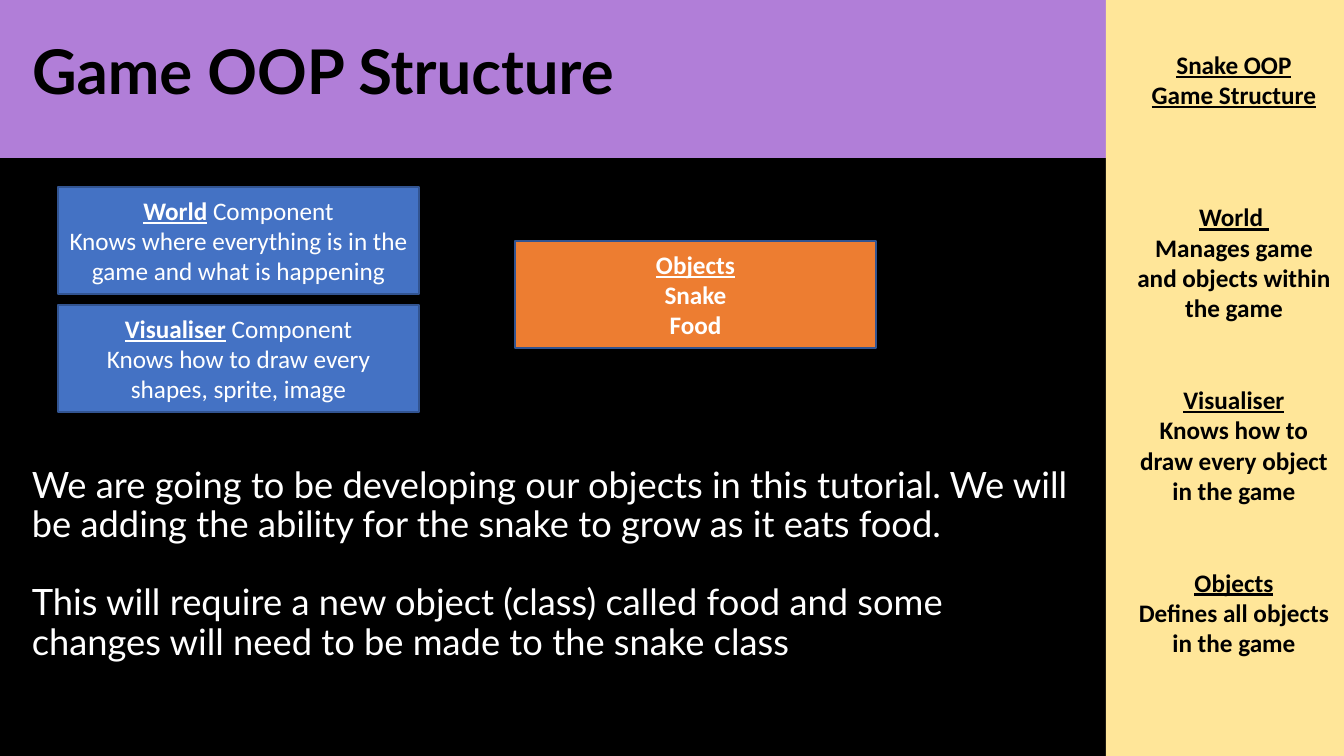
from dataclasses import dataclass

from pptx import Presentation
from pptx.dml.color import RGBColor
from pptx.enum.shapes import MSO_SHAPE
from pptx.enum.text import MSO_ANCHOR, PP_ALIGN
from pptx.util import Emu, Pt

EMU_PER_PX = 914400 / 100.8


def px(n):
    """Turn pixels into EMU."""
    return Emu(round(n * EMU_PER_PX))


@dataclass(frozen=True)
class Theme:
    """Colours, fonts and type sizes of the slide."""
    background: str = "000000"
    banner: str = "B17ED8"
    sidebar: str = "FFE699"
    component: str = "4472C4"
    objects: str = "ED7D31"
    outline: str = "325491"
    dark: str = "000000"
    light: str = "FFFFFF"
    heading_font: str = "Lato"
    label_font: str = "Calibri"
    title_size: float = 44
    body_size: float = 25.9
    label_size: float = 18


class SlideBuilder:
    """Holds the theme and the current slide."""

    def __init__(self, prs, theme):
        """Add a title-only slide with a plain background."""
        self.theme = theme
        self.slide = prs.slides.add_slide(prs.slide_layouts[5])
        fill = self.slide.background.fill
        fill.solid()
        fill.fore_color.rgb = RGBColor.from_string(theme.background)

    def style(self, r, font, size, color, bold=False, underline=False):
        """Format one run."""
        f = r.font
        f.name, f.size, f.bold, f.underline = font, Pt(size), bold, underline
        f.color.rgb = RGBColor.from_string(color)

    def label_lines(self, tf, lines, color):
        """Write centred lines; each is (space before, [(text, bold, underline)])."""
        for i, (gap, runs) in enumerate(lines):
            p = tf.add_paragraph() if i else tf.paragraphs[0]
            p.alignment = PP_ALIGN.CENTER
            p.space_before = Pt(gap)
            for text, bold, underline in runs:
                r = p.add_run()
                r.text = text
                self.style(r, self.theme.label_font, self.theme.label_size,
                           color, bold, underline)

    def rect(self, box, color, outline=None):
        """Draw a flat rectangle."""
        sp = self.slide.shapes.add_shape(MSO_SHAPE.RECTANGLE, *map(px, box))
        sp.shadow.inherit = False
        sp.fill.solid()
        sp.fill.fore_color.rgb = RGBColor.from_string(color)
        if outline:
            sp.line.color.rgb = RGBColor.from_string(outline)
            sp.line.width = Pt(1)
        else:
            sp.line.fill.background()
        return sp

    def card(self, box, color, lines):
        """Draw an outlined rectangle with centred lines."""
        tf = self.rect(box, color, self.theme.outline).text_frame
        tf.word_wrap = True
        tf.vertical_anchor = MSO_ANCHOR.MIDDLE
        self.label_lines(tf, [(0, runs) for runs in lines], self.theme.light)

    def text_box(self, box):
        """Add a wrapping text box and return its frame."""
        tf = self.slide.shapes.add_textbox(*map(px, box)).text_frame
        tf.word_wrap = True
        return tf

    def title(self, box, text):
        """Place the title in front of the banner."""
        sp = self.slide.shapes.title
        self.slide.shapes._spTree.append(sp._element)
        sp.left, sp.top, sp.width, sp.height = map(px, box)
        tf = sp.text_frame
        tf.vertical_anchor = MSO_ANCHOR.MIDDLE
        tf.text = text
        p = tf.paragraphs[0]
        p.alignment, p.line_spacing = PP_ALIGN.LEFT, 0.9
        self.style(p.runs[0], self.theme.heading_font, self.theme.title_size,
                   self.theme.dark, bold=True)

    def body(self, box, paragraphs, gap):
        """Write the main text with a gap between paragraphs."""
        tf = self.text_box(box)
        for i, text in enumerate(paragraphs):
            p = tf.add_paragraph() if i else tf.paragraphs[0]
            p.text = text
            p.line_spacing = 0.9
            p.space_before = Pt(gap if i else 0)
            self.style(p.runs[0], self.theme.heading_font,
                       self.theme.body_size, self.theme.light)

    def summary(self, box, heading, entries, first_gap, gap):
        """Write the sidebar heading and its underlined terms."""
        lines = [(0, [(text, True, True)]) for text in heading]
        for i, (term, meaning) in enumerate(entries):
            lines.append((gap if i else first_gap, [(term, True, True)]))
            lines.append((0, [(meaning, True, False)]))
        self.label_lines(self.text_box(box), lines, self.theme.dark)


def main():
    """Build and save the slide."""
    prs = Presentation()
    prs.slide_width, prs.slide_height = px(1344), px(756)
    theme = Theme()
    s = SlideBuilder(prs, theme)

    s.rect((0, 0, 1106, 158), theme.banner)
    s.rect((1106, 0, 238, 756), theme.sidebar)
    s.summary((1124, 44, 220, 621), ["Snake OOP", "Game Structure"], [
        ("World ", "Manages game and objects within the game"),
        ("Visualiser", "Knows how to draw every object in the game"),
        ("Objects", "Defines all objects in the game"),
    ], first_gap=66, gap=44)

    s.title((22, 2, 1060, 146), "Game OOP Structure")
    s.body((22, 462, 1060, 220), [
        "We are going to be developing our objects in this tutorial. "
        "We will be adding the ability for the snake to grow as it eats food.",
        "This will require a new object (class) called food and some "
        "changes will need to be made to the snake class",
    ], gap=28)

    card_w, card_h = 361, 107
    components = [
        ("World", "Knows where everything is in the game and what is happening"),
        ("Visualiser", "Knows how to draw every shapes, sprite, image"),
    ]
    for i, (name, role) in enumerate(components):
        s.card((58, 187 + i * 118, card_w, card_h), theme.component, [
            [(name, True, True), (" Component", False, False)],
            [(role, False, False)],
        ])
    s.card((515, 241, card_w, card_h), theme.objects, [
        [("Objects", True, True)],
        [("Snake", True, False)],
        [("Food", True, False)],
    ])

    prs.save("out.pptx")


main()
